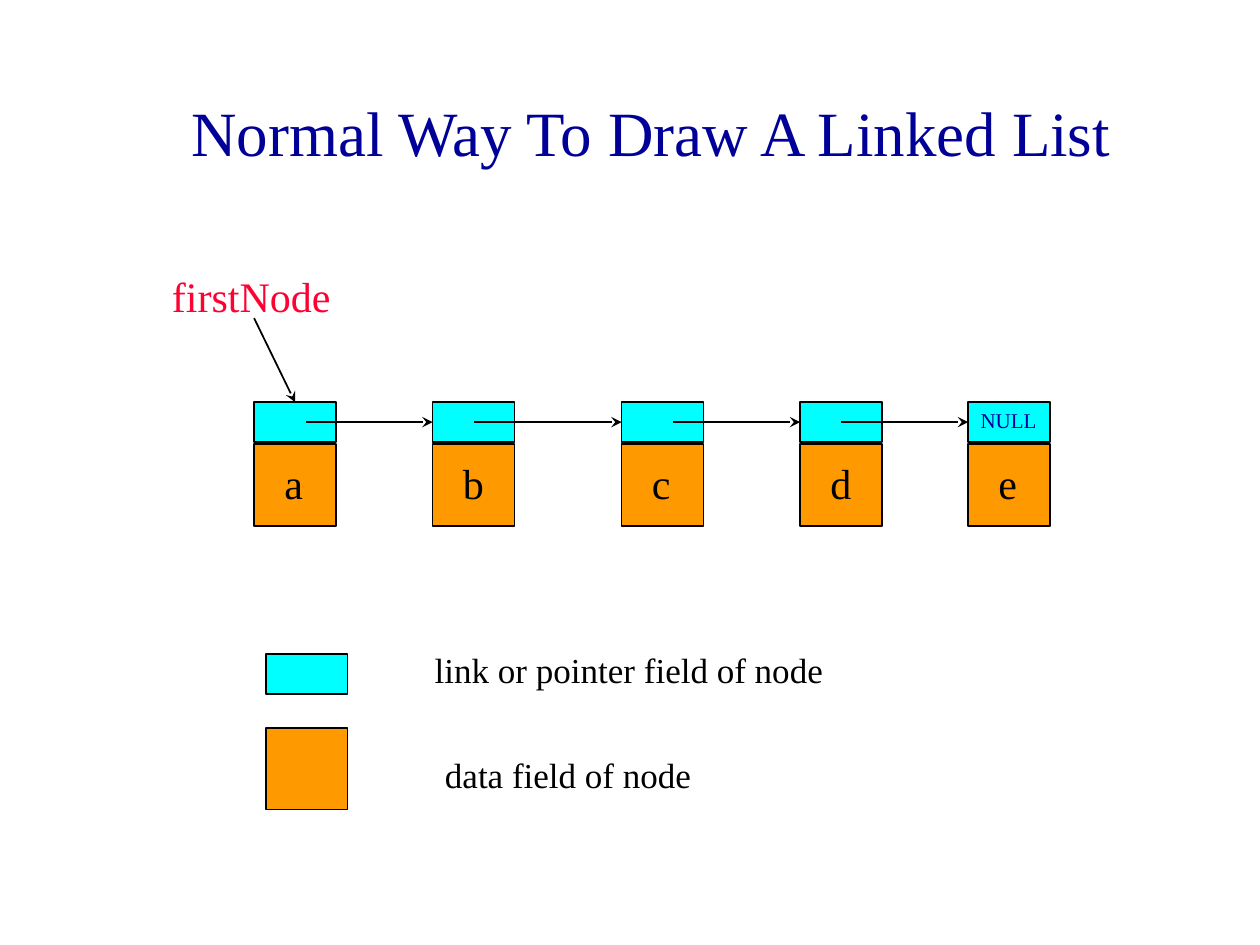
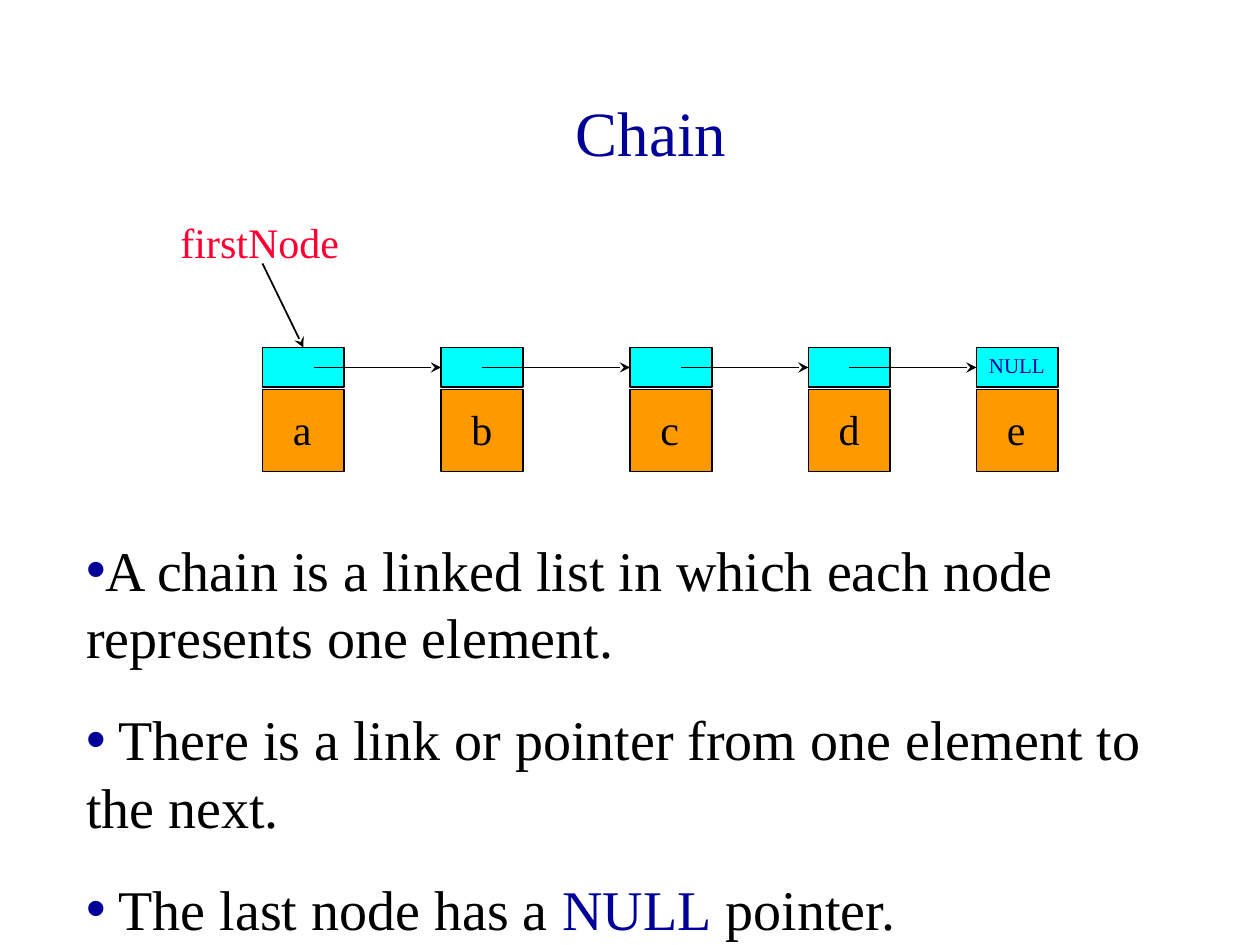
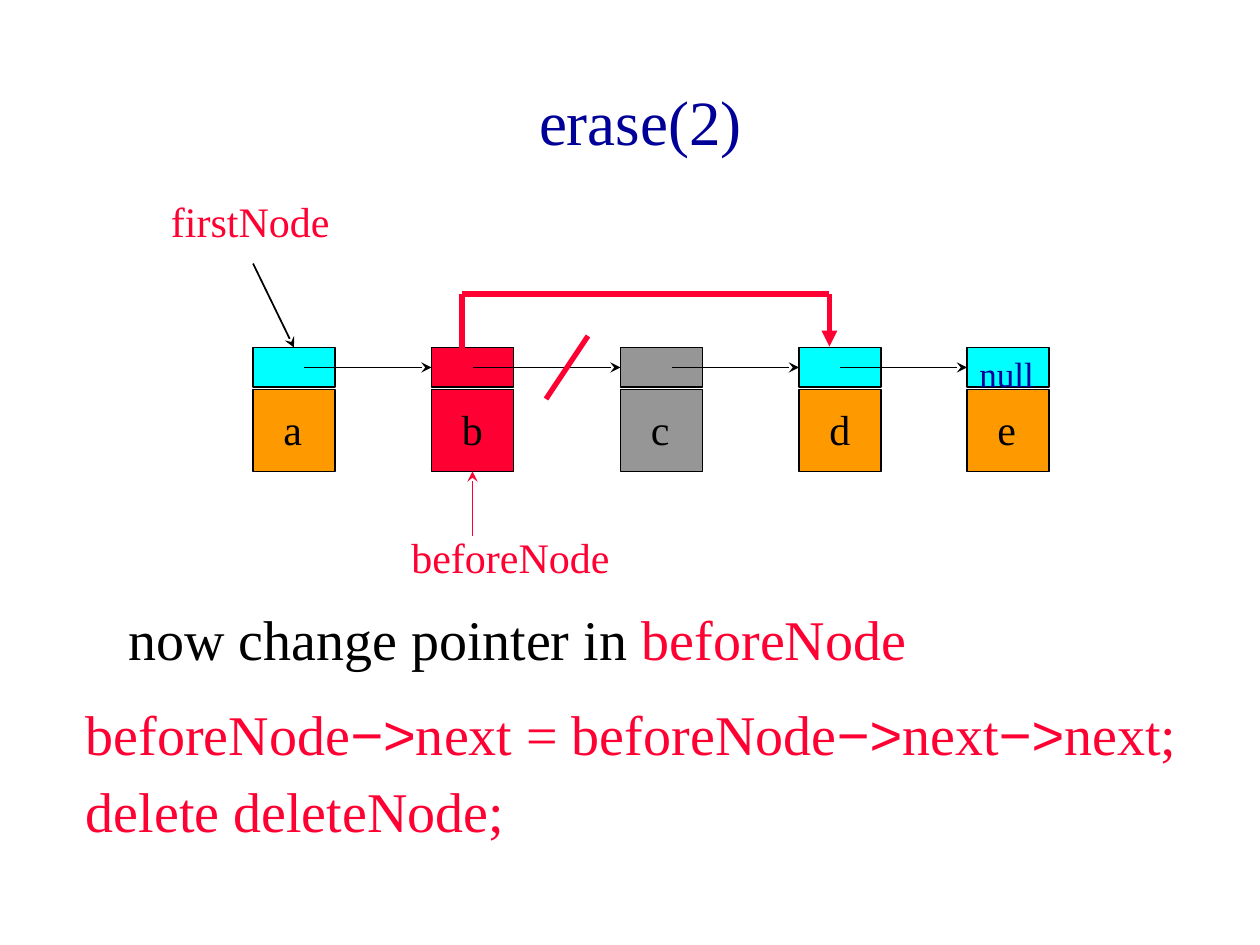
from dataclasses import dataclass

from pptx import Presentation
from pptx.dml.color import RGBColor as RGB
from pptx.enum.shapes import MSO_CONNECTOR as Line, MSO_SHAPE as Shape
from pptx.enum.text import MSO_ANCHOR as Anchor, MSO_AUTO_SIZE as Auto, PP_ALIGN as Align
from pptx.oxml.ns import qn
from pptx.oxml.xmlchemy import OxmlElement as Elem
from pptx.util import Pt

PX = 7620


@dataclass(frozen=True)
class Theme:
    font: str = "Times New Roman"
    sans: str = "Arial"
    ink: str = "000000"
    navy: str = "000099"
    red: str = "FF0033"
    cyan: str = "00FFFF"
    gold: str = "FF9900"
    gray: str = "969696"
    head: int = 36
    body: int = 32
    mark: int = 24
    note: int = 20
    tiny: int = 12
    thin: int = 1
    bold: int = 3


T = Theme()
CELL, LINK, DATA = 78, 38, 40
STEPS = (0, 170, 350, 520, 680)
TAILS = (49, 209, 399, 559)


def emu(*vals):
    return [v * PX for v in vals]


def style(obj, fmt):
    for name, val in fmt.items():
        setattr(obj, name, val)


def place(shape, box):
    style(shape, dict(zip(("left", "top", "width", "height"), emu(*box))))


def bullet(par):
    props = par._p.get_or_add_pPr()
    style(props, {"marL": 28 * PX, "indent": -28 * PX})
    tint = Elem("a:buClr")
    rgb = Elem("a:srgbClr")
    rgb.set("val", T.navy)
    tint.append(rgb)
    dot = Elem("a:buChar")
    dot.set("char", "•")
    props.append(tint)
    props.append(dot)


def write(shape, paras, size, color=T.ink, gap=0, dots=False, **fmt):
    frame = shape.text_frame
    base = {"word_wrap": True, "auto_size": Auto.NONE, "vertical_anchor": Anchor.TOP}
    style(frame, base | fmt)
    for i, runs in enumerate(paras):
        par = frame.add_paragraph() if i else frame.paragraphs[0]
        if dots:
            bullet(par)
        style(par, {"alignment": Align.LEFT, "space_before": Pt(gap if i else 0)})
        for text, look in runs:
            run = par.add_run()
            run.text = text
            style(run.font, {"name": look.get("font", T.font), "size": Pt(size)})
            run.font.color.rgb = RGB.from_string(look.get("color", color))


def label(slide, text, box, size, color=T.ink, **fmt):
    shape = slide.shapes.add_textbox(*emu(*box))
    write(shape, [[(text, {})]], size, color, **fmt)


def title(slide, text, box):
    shape = slide.shapes.title
    place(shape, box)
    write(shape, [[(text, {})]], T.head, T.navy, vertical_anchor=Anchor.MIDDLE)
    shape.text_frame.paragraphs[0].alignment = Align.CENTER


def body(slide, paras, box, size, **fmt):
    shape = slide.placeholders[1]
    place(shape, box)
    write(shape, paras, size, **fmt)


def rect(slide, box, color):
    shape = slide.shapes.add_shape(Shape.RECTANGLE, *emu(*box))
    shape.shadow.inherit = False
    shape.fill.solid()
    shape.fill.fore_color.rgb = RGB.from_string(color)
    shape.line.color.rgb = RGB.from_string(T.ink)
    shape.line.width = Pt(T.thin)
    return shape


def line(slide, start, end, color=T.ink, width=T.thin, tip=None, goal=None):
    link = slide.shapes.add_connector(Line.STRAIGHT, *emu(*start, *end))
    link.line.color.rgb = RGB.from_string(color)
    link.line.width = Pt(width)
    if tip:
        tail = Elem("a:tailEnd")
        tail.set("type", tip)
        link.line._ln.append(tail)
    link._element.find(qn("p:spPr")).append(Elem("a:effectLst"))
    if goal:
        link.end_connect(*goal)


def chain(slide, left, top, end="NULL", size=T.tiny, rise=131, tints=None):
    links, cells = [], []
    mid = top + LINK // 2
    for name, step in zip("abcde", STEPS):
        x = left + step
        tint = (tints or {}).get(name)
        cells.append(rect(slide, (x, top + DATA, CELL, CELL), tint or T.gold))
        links.append(rect(slide, (x, top, CELL, LINK), tint or T.cyan))
        label(slide, name, (x + 17, top + 47, 44, 60), T.mark, word_wrap=False)
    for tail, step, goal in zip(TAILS, STEPS[1:], links[1:]):
        line(slide, (left + tail, mid), (left + step, mid), tip="stealth", goal=(goal, 1))
    label(slide, end, (left + STEPS[-1], top - 1, 80, 36), size, T.navy)
    label(slide, "firstNode", (left - 90, top - rise, 220, 60), T.mark, T.red)
    line(slide, (left, top - 80), (left + CELL // 2, top), tip="stealth", goal=(links[0], 0))
    return cells


def normal(slide):
    title(slide, "Normal Way To Draw A Linked List", (110, 50, 1020, 150))
    body(slide, [[("link or pointer field of node", {})]], (402, 612, 458, 52), T.note)
    rect(slide, (253, 623, CELL, LINK), T.cyan)
    rect(slide, (253, 693, CELL, CELL), T.gold)
    label(slide, "data field of node", (412, 712, 660, 52), T.note)
    chain(slide, 242, 383)


def linked(slide):
    title(slide, "Chain", (110, 50, 1020, 150))
    body(slide, [
        [("A chain is a linked list in which each node represents one element.", {})],
        [(" There is a link or pointer from one element to the next.", {})],
        [(" The last node has a ", {}), ("NULL", {"color": T.navy}), (" pointer.", {})],
    ], (70, 504, 1100, 398), T.body, gap=20, dots=True)
    chain(slide, 250, 331)


def erase(slide):
    title(slide, "erase(2)", (100, 40, 1020, 150))
    body(slide, [[("now change pointer in", {}), (" beforeNode", {"color": T.red})]],
         (110, 570, 1020, 130), T.body)
    arrow = ("−>", {"font": T.sans})
    code = slide.shapes.add_textbox(*emu(70, 660, 1130, 130))
    write(code, [
        [("beforeNode", {}), arrow, ("next = beforeNode", {}), arrow,
         ("next", {}), arrow, ("next;", {})],
        [("delete deleteNode;", {})],
    ], T.body, T.red, gap=6)
    label(slide, "beforeNode", (380, 500, 240, 60), T.mark, T.red)
    cells = chain(slide, 241, 331, "null", T.note, 151, {"b": T.red, "c": T.gray})
    route = [(440, 350), (440, 280), (790, 280), (790, 330)]
    tips = (None, None, "triangle")
    for start, end, tip in zip(route, route[1:], tips):
        line(slide, start, end, T.red, T.bold, tip)
    line(slide, (560, 320), (520, 380), T.red, T.bold)
    line(slide, (450, 510), (450, 450), T.red, tip="stealth", goal=(cells[1], 2))


def main():
    deck = Presentation()
    style(deck, {"slide_width": 1200 * PX, "slide_height": 900 * PX})
    for draw in (normal, linked, erase):
        draw(deck.slides.add_slide(deck.slide_layouts[0]))
    deck.save("out.pptx")


if __name__ == "__main__":
    main()
